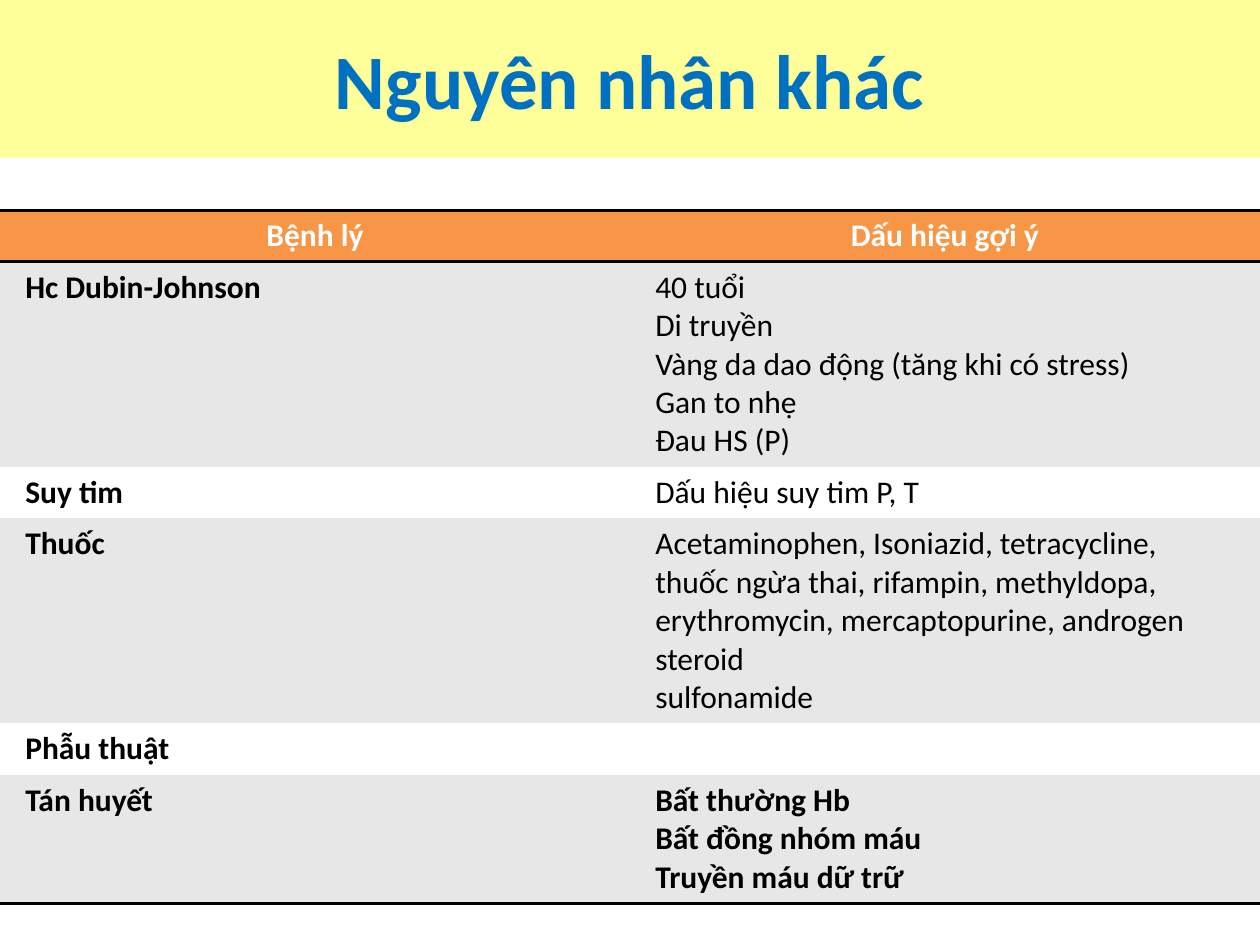
from dataclasses import dataclass

from lxml.etree import SubElement
from pptx import Presentation
from pptx.dml.color import RGBColor
from pptx.enum.shapes import MSO_SHAPE
from pptx.enum.text import MSO_ANCHOR, PP_ALIGN
from pptx.oxml.ns import qn
from pptx.util import Cm, Pt


@dataclass(frozen=True)
class Theme:
    font: str = "Calibri"
    title_size: int = 44
    table_size: int = 18
    rule_width: int = 2
    title_fill: str = "FFFF99"
    title_text: str = "0070C0"
    header_fill: str = "F79646"
    header_text: str = "FFFFFF"
    band_fill: str = "E7E7E7"
    plain_fill: str = "FFFFFF"
    body_text: str = "000000"
    rule: str = "000000"


THEME = Theme()
SLIDE_WIDTH, SLIDE_HEIGHT = 25.4, 19.05
LINE_HEIGHT, CELL_PADDING = 0.77, 0.26

HEADER = ("Bệnh lý", "Dấu hiệu gợi ý")
# Condition, signs, number of text lines, whether the signs are bold
CONDITIONS = [
    ("Hc Dubin-Johnson",
     ["40 tuổi", "Di truyền", "Vàng da dao động (tăng khi có stress)",
      "Gan to nhẹ", "Đau HS (P)"], 5, False),
    ("Suy tim", ["Dấu hiệu suy tim P, T"], 1, False),
    ("Thuốc",
     ["Acetaminophen, Isoniazid, tetracycline, thuốc ngừa thai, rifampin, "
      "methyldopa, erythromycin, mercaptopurine, androgen steroid",
      "sulfonamide"], 5, False),
    ("Phẫu thuật", [""], 1, False),
    ("Tán huyết",
     ["Bất thường Hb", "Bất đồng nhóm máu", "Truyền máu dữ trữ"], 3, True),
]


def apply_format(target, values):
    for name, value in values.items():
        setattr(target, name, value)


def write_lines(text_frame, lines, size, color, bold, alignment):
    text_frame.word_wrap = True
    for index, line in enumerate(lines):
        paragraph = text_frame.paragraphs[0] if index == 0 else text_frame.add_paragraph()
        paragraph.alignment = alignment
        apply_format(paragraph.font, {"name": THEME.font, "size": Pt(size), "bold": bold})
        paragraph.font.color.rgb = RGBColor.from_string(color)
        if line:
            run = paragraph.add_run()
            run.text = line
            apply_format(run.font, {"name": THEME.font, "size": Pt(size), "bold": bold})
            run.font.color.rgb = RGBColor.from_string(color)


def add_title(slide, text):
    shape = slide.shapes.add_shape(MSO_SHAPE.RECTANGLE, 0, 0, Cm(SLIDE_WIDTH), Cm(3.18))
    shape.shadow.inherit = False
    shape.fill.solid()
    shape.fill.fore_color.rgb = RGBColor.from_string(THEME.title_fill)
    shape.line.fill.background()
    shape.text_frame.vertical_anchor = MSO_ANCHOR.MIDDLE
    write_lines(shape.text_frame, [text], THEME.title_size, THEME.title_text,
                True, PP_ALIGN.CENTER)


def set_borders(cell, ruled_sides):
    """Draw a rule on the given sides and clear the other ones."""
    properties = cell._tc.get_or_add_tcPr()
    for side in "LRTB":
        border = SubElement(properties, qn(f"a:ln{side}"))
        if side in ruled_sides:
            border.set("w", str(Pt(THEME.rule_width)))
            fill = SubElement(border, qn("a:solidFill"))
            SubElement(fill, qn("a:srgbClr"), val=THEME.rule)
        else:
            border.set("w", "0")
            SubElement(border, qn("a:noFill"))


def fill_cell(cell, lines, fill, color, bold, alignment, ruled_sides):
    apply_format(cell, {"margin_left": Cm(0.51), "margin_right": Cm(0.51),
                        "margin_top": Cm(0.13), "margin_bottom": Cm(0.13)})
    set_borders(cell, ruled_sides)
    cell.fill.solid()
    cell.fill.fore_color.rgb = RGBColor.from_string(fill)
    write_lines(cell.text_frame, lines, THEME.table_size, color, bold, alignment)


def add_conditions_table(slide):
    line_counts = [1] + [count for _, _, count, _ in CONDITIONS]
    heights = [count * LINE_HEIGHT + CELL_PADDING for count in line_counts]
    table = slide.shapes.add_table(len(heights), len(HEADER), 0, Cm(4.24),
                                   Cm(SLIDE_WIDTH), Cm(sum(heights))).table
    table.horz_banding = False
    for row, height in zip(table.rows, heights):
        row.height = Cm(height)

    for column, heading in enumerate(HEADER):
        fill_cell(table.cell(0, column), [heading], THEME.header_fill,
                  THEME.header_text, True, PP_ALIGN.CENTER, "TB")
    for row, (condition, signs, _, bold_signs) in enumerate(CONDITIONS, start=1):
        fill = THEME.band_fill if row % 2 else THEME.plain_fill
        ruled_sides = {1: "T", len(CONDITIONS): "B"}.get(row, "")
        for column, (lines, bold) in enumerate([([condition], True), (signs, bold_signs)]):
            fill_cell(table.cell(row, column), lines, fill, THEME.body_text,
                      bold, PP_ALIGN.LEFT, ruled_sides)


def main():
    presentation = Presentation()
    apply_format(presentation, {"slide_width": Cm(SLIDE_WIDTH),
                                "slide_height": Cm(SLIDE_HEIGHT)})
    slide = presentation.slides.add_slide(presentation.slide_layouts[6])
    add_title(slide, "Nguyên nhân khác")
    add_conditions_table(slide)
    presentation.save("out.pptx")


if __name__ == "__main__":
    main()
